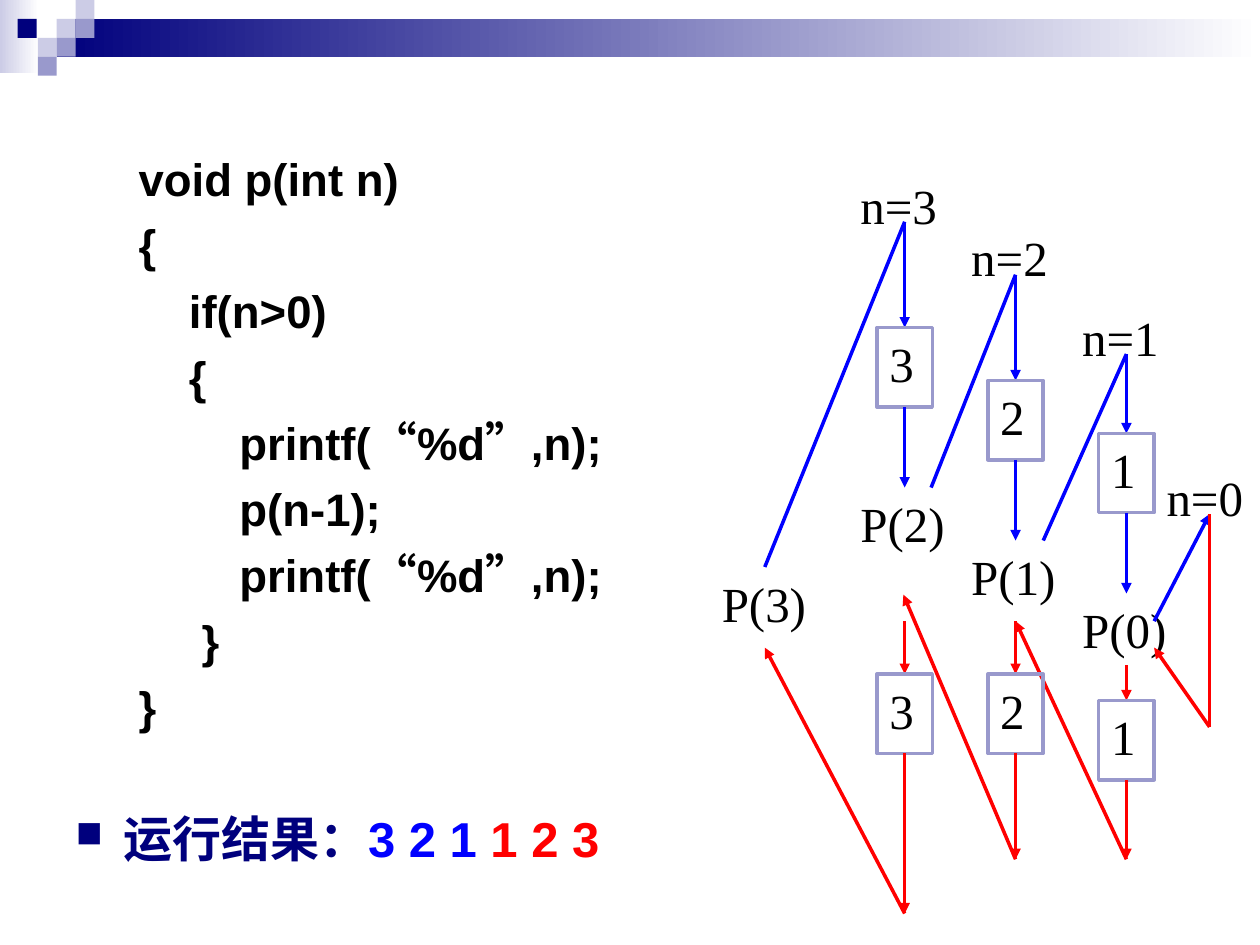
from lxml import etree
from pptx import Presentation
from pptx.dml.color import RGBColor
from pptx.enum.shapes import MSO_CONNECTOR, MSO_SHAPE
from pptx.enum.text import PP_ALIGN
from pptx.oxml.ns import qn
from pptx.util import Inches, Pt

RECT = MSO_SHAPE.RECTANGLE
STRAIGHT = MSO_CONNECTOR.STRAIGHT
JUSTIFY = PP_ALIGN.JUSTIFY

COLORS = {
    "navy": "00007D", "lilac": "9999CC", "pale": "CCCCE6", "white": "FFFFFF",
    "black": "000000", "blue": "0000FF", "red": "FF0000",
}
SANS, SERIF, CJK = "Arial", "Times New Roman", "Noto Sans CJK SC"
STEP_X, STEP_Y = 0.88, 0.42
BOX_W, BOX_H = 0.44, 0.63

PRINTF = [("        printf(", SANS), ("“", CJK), ("%d", SANS), ("”", CJK), (",n);", SANS)]
CODE = [
    [("void p(int n)", SANS)],
    [("{", SANS)],
    [("    if(n>0)", SANS)],
    [("    {", SANS)],
    PRINTF,
    [("        p(n-1);", SANS)],
    PRINTF,
    [("     }", SANS)],
    [("}", SANS)],
]
RESULT = [("运行结果：", CJK, "navy"), ("3 2 1", SANS, "blue"), (" 1 2 3", SANS, "red")]
SQUARES = [
    (0.45, 0.15, "pale"), (0.6, 0, "pale"), (0.6, 0.15, "lilac"), (0.3, 0.3, "pale"),
    (0.14, 0.15, "navy"), (0.45, 0.3, "lilac"), (0.3, 0.45, "lilac"),
]
CALLS = [(3, 1.34, (6.07, 4.5)), (2, 1.76, (7.39, 3.87)), (1, 2.39, (8.28, 4.29))]
RETURNS = [
    (1, 5.28, 5.56, 6.82, (8.06, 4.93)),
    (2, 4.93, 5.35, 6.82, (7.17, 4.72)),
    (3, 4.93, 5.35, 7.25, (6.07, 5.14)),
]


def column(n):
    """Return the centre of the column for call depth n."""
    return 7.18 + STEP_X * (3 - n)


class SlideBuilder:
    """Hold the slide and its drawing style."""

    def __init__(self, slide):
        self.s = slide

    def color(self, name):
        return RGBColor.from_string(COLORS[name])

    def rect(self, x, y, w, h):
        sp = self.s.shapes.add_shape(RECT, Inches(x), Inches(y), Inches(w), Inches(h))
        sp.shadow.inherit = False
        return sp

    def square(self, x, y, color):
        sp = self.rect(x, y, 0.15, 0.15)
        sp.fill.solid()
        sp.fill.fore_color.rgb = self.color(color)
        sp.line.fill.background()

    def gradient(self, x, y, w, h, start):
        sp = self.rect(x, y, w, h)
        sp.fill.gradient()
        sp.fill.gradient_angle = 0
        for stop, name in zip(sp.fill.gradient_stops, (start, "white")):
            stop.color.rgb = self.color(name)
        sp.line.fill.background()

    def run(self, p, text, size, font, color="black", bold=False):
        r = p.add_run()
        r.text = text
        r.font.size = Pt(size)
        r.font.bold = bold
        r.font.color.rgb = self.color(color)
        r.font.name = font
        if font == CJK:
            etree.SubElement(r.font._element, qn("a:ea"), typeface=CJK)

    def frame(self, x, y, w, h):
        tf = self.s.shapes.add_textbox(Inches(x), Inches(y), Inches(w), Inches(h)).text_frame
        tf.word_wrap = True
        tf.margin_left = tf.margin_right = tf.margin_top = tf.margin_bottom = 0
        return tf

    def code(self, x, y, w, h, lines):
        tf = self.frame(x, y, w, h)
        for i, line in enumerate(lines):
            p = tf.add_paragraph() if i else tf.paragraphs[0]
            p.line_spacing = Pt(31.2)
            if i:
                p.space_before = Pt(6.5)
            for text, font in line:
                self.run(p, text, 26, font, bold=True)

    def bullet(self, x, y, w, h, runs):
        p = self.frame(x, y, w, h).paragraphs[0]
        pPr = p._p.get_or_add_pPr()
        pPr.set("marL", str(Inches(0.38)))
        pPr.set("indent", str(Inches(-0.38)))
        clr = etree.SubElement(pPr, qn("a:buClr"))
        etree.SubElement(clr, qn("a:srgbClr"), val=COLORS["navy"])
        etree.SubElement(pPr, qn("a:buSzPct"), val="75000")
        etree.SubElement(pPr, qn("a:buChar"), char="■")
        for text, font, color in runs:
            self.run(p, text, 28, font, color, True)

    def caption(self, tf, text):
        tf.word_wrap = True
        tf.margin_left = tf.margin_right = Inches(0.1)
        tf.margin_top = tf.margin_bottom = Inches(0.05)
        p = tf.paragraphs[0]
        p.alignment = JUSTIFY
        self.run(p, text, 28, SERIF)

    def label(self, x, y, text):
        self.caption(self.frame(x, y, 0.88, 0.63), text)

    def box(self, center, y, text):
        sp = self.rect(center - BOX_W / 2, y, BOX_W, BOX_H)
        sp.fill.background()
        sp.line.color.rgb = self.color("lilac")
        sp.line.width = Pt(2)
        sp.text_frame.vertical_anchor = None
        self.caption(sp.text_frame, text)
        sp.text_frame._txBody.bodyPr.set("anchor", "t")

    def line(self, start, end, color, arrow=True):
        cn = self.s.shapes.add_connector(STRAIGHT, *map(Inches, start + end))
        cn.line.color.rgb = self.color(color)
        cn.line.width = Pt(2)
        if arrow:
            etree.SubElement(cn.line._get_or_add_ln(), qn("a:tailEnd"), type="triangle")
        etree.SubElement(cn._element.spPr, qn("a:effectLst"))


def main():
    prs = Presentation()
    prs.slide_width, prs.slide_height = Inches(10), Inches(7.5)
    s = SlideBuilder(prs.slides.add_slide(prs.slide_layouts[6]))

    s.gradient(0, 0, 0.31, 0.58, "pale")
    s.gradient(0.45, 0.15, 9.55, 0.3, "navy")
    for square in SQUARES:
        s.square(*square)

    s.code(1.1, 1.2, 4.4, 4.75, CODE)
    s.bullet(0.6, 6.42, 4.9, 0.6, RESULT)

    s.label(5.63, 4.5, "P(3)")
    for i, (n, top, caller) in enumerate(CALLS):
        x = column(n)
        apex, box = (x, top + STEP_Y), 2.6 + STEP_Y * i
        s.label(x - 0.45, top, f"n={n}")
        s.line(caller, apex, "blue", False)
        s.line(apex, (x, box), "blue")
        s.box(x, box, str(n))
        s.line((x, box + BOX_H), (x, box + 1.27), "blue")
        s.label(x - 0.45, box + 1.27, f"P({n - 1})")

    s.label(9.16, 3.66, "n=0")
    s.line((9.16, 4.93), (9.6, 4.08), "blue")
    s.line((9.6, 4.08), (9.6, 5.77), "red", False)
    s.line((9.6, 5.77), (9.16, 5.14), "red")

    for n, start, box, bottom, caller in RETURNS:
        x = column(n)
        s.line((x, start), (x, box), "red")
        s.line((x, bottom), caller, "red")
        s.box(x, box, str(n))
        s.line((x, box + BOX_H), (x, bottom), "red")

    prs.save("out.pptx")


if __name__ == "__main__":
    main()
